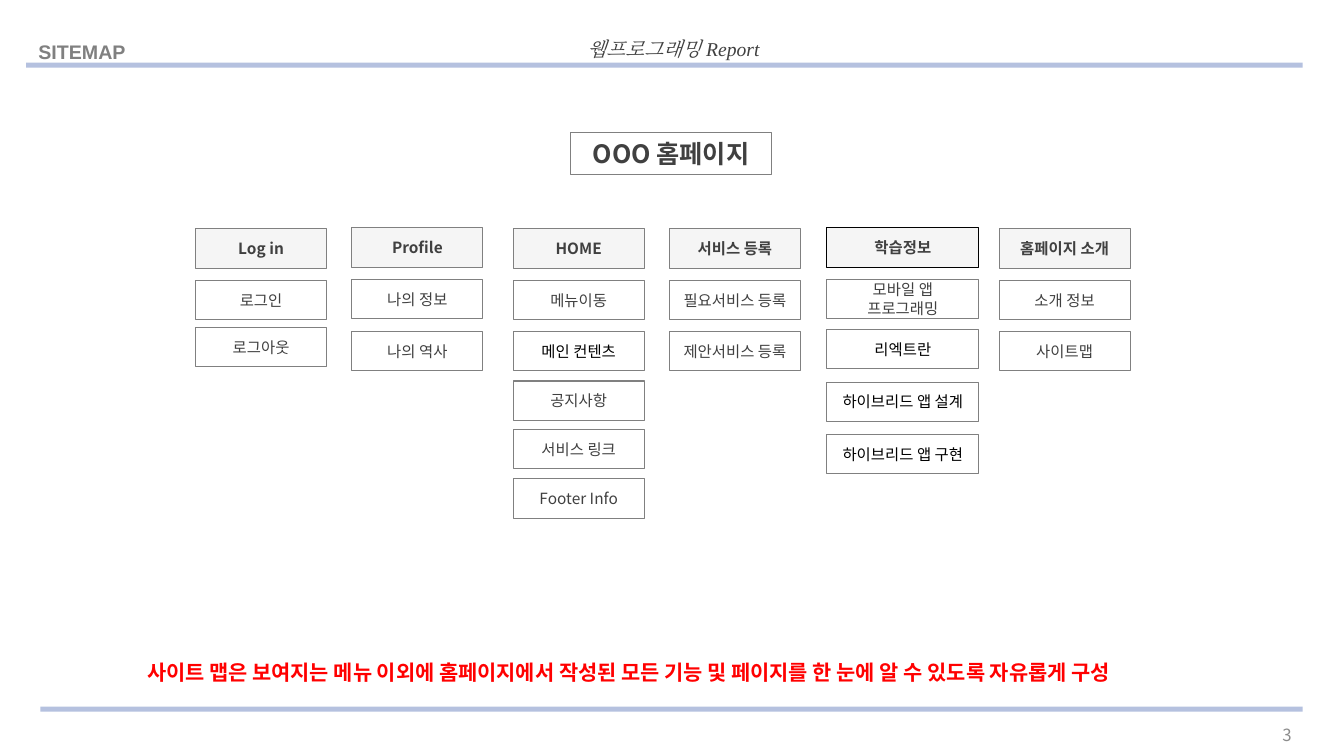
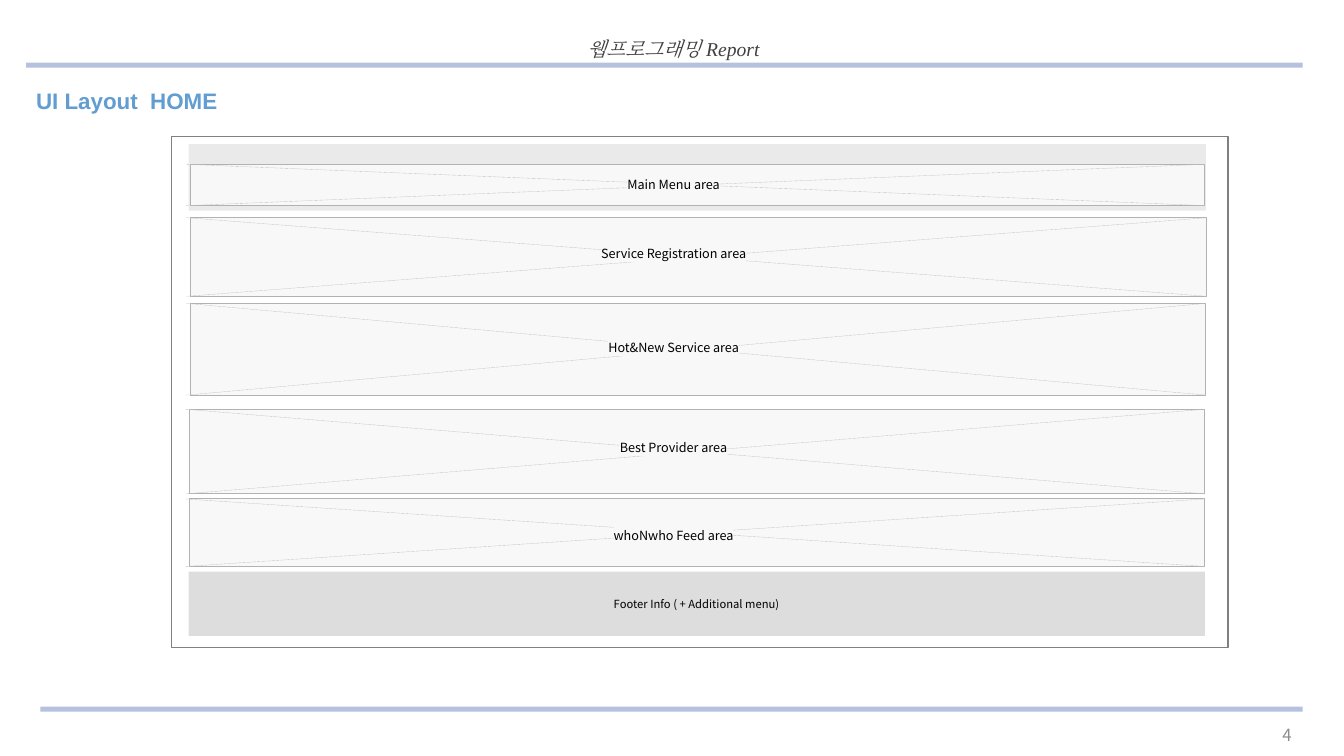
from dataclasses import dataclass

from lxml.etree import SubElement
from pptx import Presentation
from pptx.dml.color import RGBColor
from pptx.enum.dml import MSO_LINE_DASH_STYLE as Dash
from pptx.enum.shapes import MSO_CONNECTOR as Connector
from pptx.enum.shapes import MSO_SHAPE as Preset
from pptx.enum.text import MSO_ANCHOR as Anchor
from pptx.enum.text import PP_ALIGN as Align
from pptx.oxml import parse_xml
from pptx.oxml.ns import nsdecls, qn
from pptx.util import Inches, Pt

SANS = "Noto Sans CJK KR"
HEADING_FONT = "Arial"
REPORT_FONT = "Times New Roman"
BAND = "B5C1DF"
INK = "404040"
GRAY = "808080"
BLACK = "000000"
HEADING_FILL = "F5F5F5"
PANEL_FILL = "F8F8F8"
PANEL_LINE = "B2B2B2"
DIAGONAL = "C0C0C0"
MENU_HEIGHT = 0.39
LABEL_CENTER = 6.68
LABEL_HEIGHT = 0.25
DIAGONAL_OVERHANG = 0.04


@dataclass
class TextStyle:
    size: float
    color: str = INK
    font: str = SANS
    bold: bool = False
    italic: bool = False
    highlight: str = ""


@dataclass
class MenuColumn:
    left: float
    heading_top: float
    heading: str
    items: list
    width: float = 1.3
    heading_line: str = GRAY


@dataclass
class Panel:
    box: tuple
    label: str
    label_top: float
    label_width: float


MENU_HEADING = TextStyle(11, bold=True)
PANEL_LABEL = TextStyle(9, BLACK, highlight=PANEL_FILL)

MENU_COLUMNS = [
    MenuColumn(1.94, 2.27, "Log in", [
        ("로그인", 2.78, INK), ("로그아웃", 3.25, INK)]),
    MenuColumn(3.49, 2.26, "Profile", [
        ("나의 정보", 2.77, INK), ("나의 역사", 3.29, INK)]),
    MenuColumn(5.09, 2.27, "HOME", [
        ("메뉴이동", 2.78, INK), ("메인 컨텐츠", 3.29, BLACK),
        ("공지사항", 3.78, INK), ("서비스 링크", 4.26, INK),
        ("Footer Info", 4.75, INK)]),
    MenuColumn(6.64, 2.27, "서비스 등록", [
        ("필요서비스 등록", 2.78, INK), ("제안서비스 등록", 3.29, INK)]),
    MenuColumn(8.2, 2.26, "학습정보", [
        ("모바일 앱 프로그래밍", 2.77, INK), ("리엑트란", 3.27, BLACK),
        ("하이브리드 앱 설계", 3.79, BLACK),
        ("하이브리드 앱 구현", 4.31, BLACK)],
        width=1.51, heading_line=BLACK),
    MenuColumn(9.91, 2.27, "홈페이지 소개", [
        ("소개 정보", 2.78, INK), ("사이트맵", 3.29, INK)]),
]

PANELS = [
    Panel((1.89, 1.63, 10.06, 0.41), "Main Menu area", 1.71, 1.18),
    Panel((1.89, 2.16, 10.08, 0.78), "Service Registration area", 2.39, 1.65),
    Panel((1.89, 3.01, 10.07, 0.91), "Hot&New Service area", 3.32, 2.59),
    Panel((1.88, 4.06, 10.07, 0.84), "Best Provider area", 4.31, 2.33),
    Panel((1.88, 4.95, 10.07, 0.67), "whoNwho Feed area", 5.19, 2.59),
]


def rgb(hex_color):
    return RGBColor.from_string(hex_color)


def write(shape, text, style, align=Align.CENTER, anchor=Anchor.MIDDLE, wrap=True):
    frame = shape.text_frame
    frame.word_wrap = wrap
    frame.vertical_anchor = anchor
    paragraph = frame.paragraphs[0]
    paragraph.alignment = align
    run = paragraph.add_run()
    run.text = text
    font = run.font
    font.size = Pt(style.size)
    font.bold = style.bold
    font.italic = style.italic
    font.color.rgb = rgb(style.color)
    font.name = style.font
    properties = run._r.get_or_add_rPr()
    properties.find(qn("a:latin")).addnext(
        parse_xml(f'<a:ea {nsdecls("a")} typeface="{style.font}"/>'))
    if style.highlight:
        properties.find(qn("a:solidFill")).addnext(parse_xml(
            f'<a:highlight {nsdecls("a")}>'
            f'<a:srgbClr val="{style.highlight}"/></a:highlight>'))


def add_box(shapes, box, fill=None, line=None):
    rectangle = shapes.add_shape(Preset.RECTANGLE, *map(Inches, box))
    rectangle.shadow.inherit = False
    if fill:
        rectangle.fill.solid()
        rectangle.fill.fore_color.rgb = rgb(fill)
    else:
        rectangle.fill.background()
    if line:
        rectangle.line.color.rgb = rgb(line)
        rectangle.line.width = Pt(0.75)
    else:
        rectangle.line.fill.background()
    return rectangle


def add_text(slide, box, text, style, align=Align.LEFT, anchor=Anchor.TOP):
    textbox = slide.shapes.add_textbox(*map(Inches, box))
    write(textbox, text, style, align, anchor)
    return textbox


def add_diagonal(shapes, start, end):
    diagonal = shapes.add_connector(
        Connector.STRAIGHT, *map(Inches, (*start, *end)))
    diagonal.line.color.rgb = rgb(DIAGONAL)
    diagonal.line.width = Pt(0.25)
    diagonal.line.dash_style = Dash.ROUND_DOT
    SubElement(diagonal._element.spPr, qn("a:effectLst"))


def add_report_slide(deck, number):
    slide = deck.slides.add_slide(deck.slide_layouts[6])
    add_box(slide.shapes, (0.26, 0.62, 12.66, 0.05), BAND)
    add_box(slide.shapes, (0.4, 7.01, 12.52, 0.05), BAND)
    add_text(slide, (5.46, 0.35, 2.44, 0.27), "웹프로그래밍 Report",
             TextStyle(14, font=REPORT_FONT, italic=True),
             Align.CENTER, Anchor.MIDDLE)
    add_text(slide, (9.91, 7.09, 3, 0.4), str(number),
             TextStyle(12, "8C8C8C"), Align.RIGHT, Anchor.MIDDLE)
    return slide


def add_menu_column(slide, column):
    heading = add_box(
        slide.shapes,
        (column.left, column.heading_top, column.width, MENU_HEIGHT),
        HEADING_FILL, column.heading_line)
    write(heading, column.heading, MENU_HEADING)
    for label, top, color in column.items:
        item = add_box(slide.shapes,
                       (column.left, top, column.width, MENU_HEIGHT), line=GRAY)
        write(item, label, TextStyle(11, color))


def add_panel(slide, panel):
    left, top, width, height = panel.box
    right, bottom = left + width, top + height
    start = left - DIAGONAL_OVERHANG
    group = slide.shapes.add_group_shape()
    add_box(group.shapes, panel.box, PANEL_FILL, PANEL_LINE)
    add_diagonal(group.shapes, (right, top), (start, bottom))
    add_diagonal(group.shapes, (start, top), (right, bottom))
    label_left = LABEL_CENTER - panel.label_width / 2
    add_text(slide, (label_left, panel.label_top, panel.label_width, LABEL_HEIGHT),
             panel.label, PANEL_LABEL, Align.CENTER)


def build_sitemap(deck):
    slide = add_report_slide(deck, 3)
    section = add_text(slide, (0.38, 0.39, 8.35, 0.24), "SITEMAP",
                       TextStyle(14, GRAY, HEADING_FONT, bold=True),
                       anchor=Anchor.MIDDLE)
    frame = section.text_frame
    frame.margin_left = frame.margin_right = 0
    frame.margin_top = frame.margin_bottom = 0
    homepage = add_box(slide.shapes, (5.66, 1.31, 1.99, 0.42), line=GRAY)
    write(homepage, "OOO 홈페이지", TextStyle(18, bold=True))
    for column in MENU_COLUMNS:
        add_menu_column(slide, column)
    add_text(slide, (1.36, 6.49, 11.72, 0.35),
             "사이트 맵은 보여지는 메뉴 이외에 홈페이지에서 작성된 모든 기능 및 "
             "페이지를 한 눈에 알 수 있도록 자유롭게 구성",
             TextStyle(14.9, "FF0000", bold=True))


def build_home_layout(deck):
    slide = add_report_slide(deck, 4)
    add_text(slide, (0.26, 0.82, 6.98, 0.37), "UI Layout  HOME",
             TextStyle(16, "629DD1", HEADING_FONT, bold=True))
    add_box(slide.shapes, (1.7, 1.35, 10.48, 5.07), line=GRAY)
    add_box(slide.shapes, (1.87, 1.43, 10.09, 0.66), "EAEAEA")
    for panel in PANELS:
        add_panel(slide, panel)
    footer = add_box(slide.shapes, (1.87, 5.67, 10.08, 0.64), "DDDDDD")
    write(footer, "Footer Info ( + Additional menu)",
          TextStyle(8, BLACK), wrap=False)


def main():
    deck = Presentation()
    deck.slide_width = Inches(13.33)
    deck.slide_height = Inches(7.5)
    build_sitemap(deck)
    build_home_layout(deck)
    deck.save("out.pptx")


if __name__ == "__main__":
    main()
